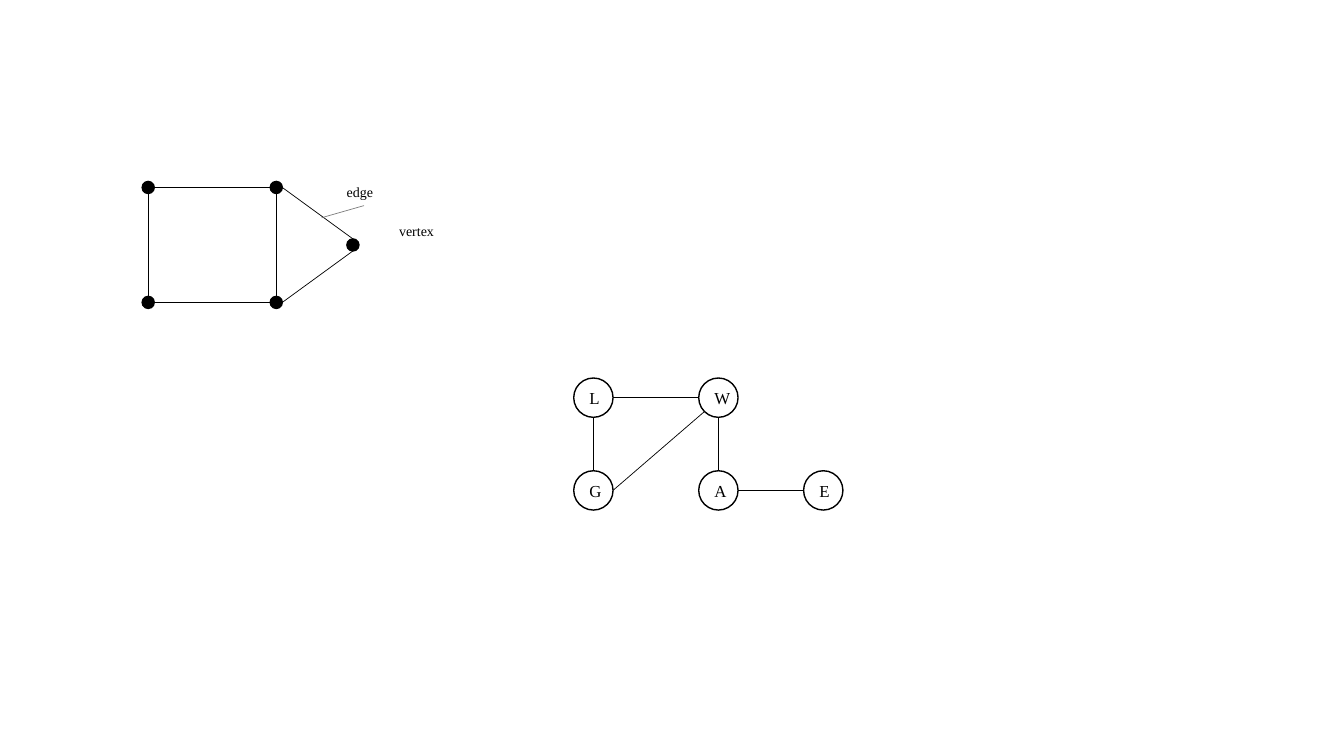
from dataclasses import dataclass
from enum import Enum
import math

import lxml.etree
import pptx
import pptx.dml.color
import pptx.enum.shapes
import pptx.enum.text
import pptx.oxml.ns
import pptx.util

EMU_PER_PX = 9144
BLACK, GREY, WHITE = "000000", "808080", "FFFFFF"


class Side(Enum):
    """Points on a circle, as degrees clockwise from the right."""
    RIGHT = 0
    BOTTOM = 90
    BOTTOM_LEFT = 135
    LEFT = 180
    TOP = 270


@dataclass(frozen=True)
class Node:
    left: int
    top: int
    size: int
    fill: str
    letter: str = ""

    def anchor(self, side: Side) -> tuple[float, float]:
        radius = self.size / 2
        angle = math.radians(side.value)
        return (self.left + radius * (1 + math.cos(angle)),
                self.top + radius * (1 + math.sin(angle)))


@dataclass(frozen=True)
class Edge:
    start: str
    start_side: Side
    end: str
    end_side: Side


@dataclass(frozen=True)
class Label:
    text: str
    left: int
    top: int
    width: int
    height: int


def dot(left: int, top: int) -> Node:
    return Node(left, top, 12, BLACK)


def lettered(letter: str, left: int, top: int) -> Node:
    return Node(left, top, 39, WHITE, letter)


NODES = {
    "bottom left": dot(141, 294),
    "top left": dot(141, 180),
    "top right": dot(268, 180),
    "bottom right": dot(268, 294),
    "tip": dot(344, 237),
    "G": lettered("G", 569, 467),
    "E": lettered("E", 797, 467),
    "A": lettered("A", 693, 467),
    "L": lettered("L", 569, 375),
    "W": lettered("W", 693, 375),
}
EDGES = [
    Edge("bottom left", Side.TOP, "top left", Side.BOTTOM),
    Edge("bottom right", Side.TOP, "top right", Side.BOTTOM),
    Edge("top right", Side.LEFT, "top left", Side.RIGHT),
    Edge("bottom right", Side.LEFT, "bottom left", Side.RIGHT),
    Edge("tip", Side.BOTTOM, "bottom right", Side.RIGHT),
    Edge("tip", Side.TOP, "top right", Side.RIGHT),
    Edge("L", Side.BOTTOM, "G", Side.TOP),
    Edge("L", Side.RIGHT, "W", Side.LEFT),
    Edge("G", Side.RIGHT, "W", Side.BOTTOM_LEFT),
    Edge("W", Side.BOTTOM, "A", Side.TOP),
    Edge("A", Side.RIGHT, "E", Side.LEFT),
]
LABELS = [Label("edge", 334, 177, 53, 27), Label("vertex", 386, 216, 58, 27)]
EDGE_POINTER = ((319, 216), (361, 204))


def px(length: float) -> int:
    return round(length * EMU_PER_PX)


def colour(value: str) -> pptx.dml.color.RGBColor:
    return pptx.dml.color.RGBColor.from_string(value)


def write(frame, text: str, points: int) -> None:
    span = frame.paragraphs[0].add_run()
    span.text = text
    span.font.color.rgb = colour(BLACK)
    text_format = {"name": "Times New Roman", "size": pptx.util.Pt(points)}
    for name, value in text_format.items():
        setattr(span.font, name, value)


def draw_node(page, node: Node) -> None:
    circle = page.shapes.add_shape(
        pptx.enum.shapes.MSO_SHAPE.FLOWCHART_CONNECTOR,
        px(node.left), px(node.top), px(node.size), px(node.size))
    circle.shadow.inherit = False
    circle.fill.solid()
    circle.fill.fore_color.rgb = colour(node.fill)
    circle.line.color.rgb = colour(BLACK)
    circle.line.width = pptx.util.Pt(1)
    if node.letter:
        frame = circle.text_frame
        frame.vertical_anchor = pptx.enum.text.MSO_ANCHOR.MIDDLE
        frame.paragraphs[0].alignment = pptx.enum.text.PP_ALIGN.CENTER
        write(frame, node.letter, 12)


def draw_line(page, start: tuple[float, float], end: tuple[float, float],
              line_colour: str = BLACK) -> None:
    line = page.shapes.add_connector(
        pptx.enum.shapes.MSO_CONNECTOR.STRAIGHT,
        px(start[0]), px(start[1]), px(end[0]), px(end[1]))
    line.line.color.rgb = colour(line_colour)
    line.line.width = pptx.util.Pt(0.5)
    properties = line._element.spPr
    lxml.etree.SubElement(properties, pptx.oxml.ns.qn("a:effectLst"))


def draw_label(page, label: Label) -> None:
    box = page.shapes.add_textbox(
        px(label.left), px(label.top), px(label.width), px(label.height))
    frame_format = {"word_wrap": True,
                    "auto_size": pptx.enum.text.MSO_AUTO_SIZE.SHAPE_TO_FIT_TEXT}
    for name, value in frame_format.items():
        setattr(box.text_frame, name, value)
    write(box.text_frame, label.text, 10)


def main() -> None:
    deck = pptx.Presentation()
    deck.slide_width, deck.slide_height = px(1333), px(750)
    page = deck.slides.add_slide(deck.slide_layouts.get_by_name("Blank"))
    for node in NODES.values():
        draw_node(page, node)
    for edge in EDGES:
        draw_line(page, NODES[edge.start].anchor(edge.start_side),
                  NODES[edge.end].anchor(edge.end_side))
    for label in LABELS:
        draw_label(page, label)
    draw_line(page, *EDGE_POINTER, GREY)
    deck.save("out.pptx")


if __name__ == "__main__":
    main()
